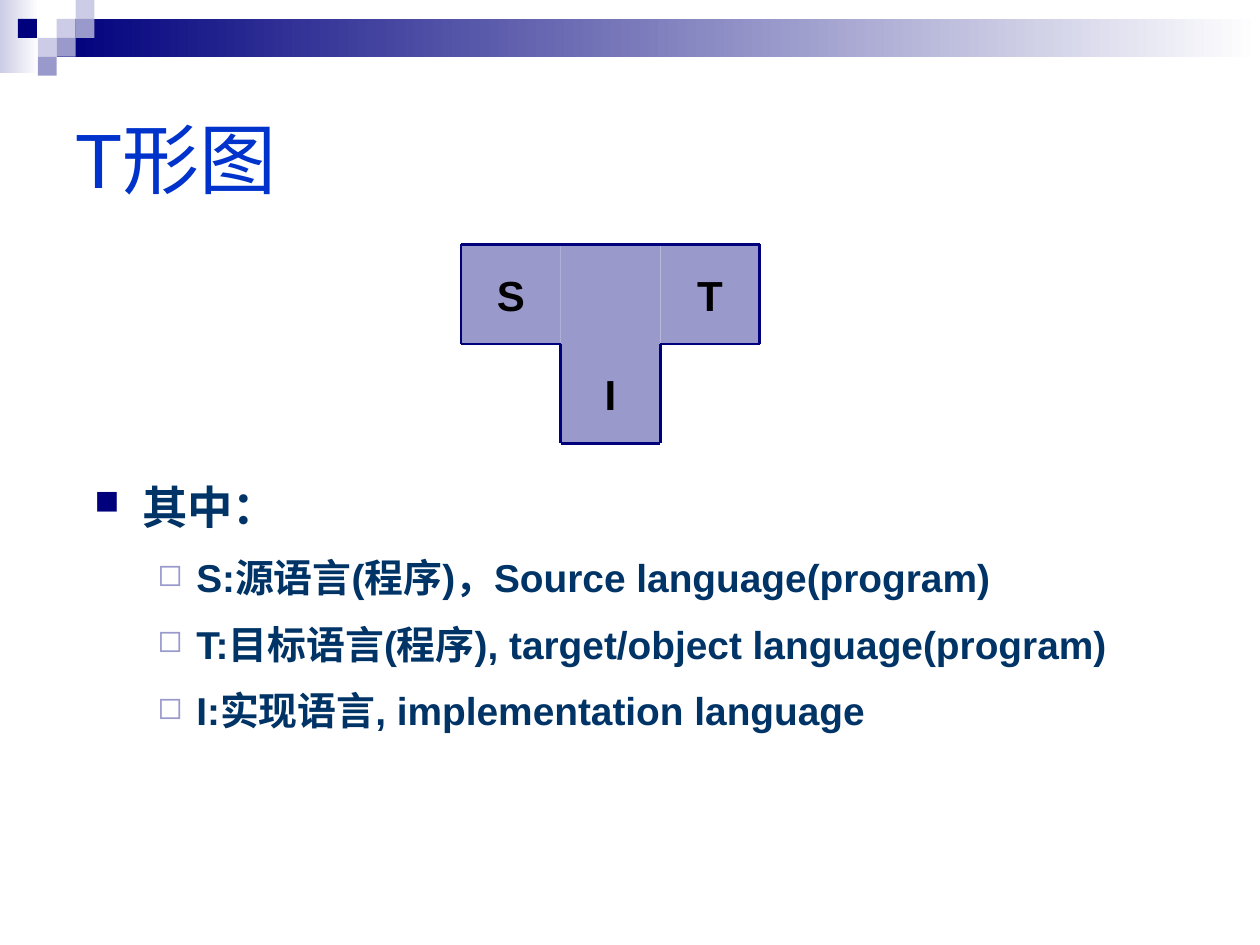
from lxml.etree import SubElement
from pptx import Presentation
from pptx.dml.color import RGBColor
from pptx.enum.shapes import MSO_CONNECTOR, MSO_SHAPE
from pptx.enum.text import MSO_ANCHOR, PP_ALIGN
from pptx.oxml.ns import qn
from pptx.util import Inches, Pt

NAVY, LILAC, PALE, WHITE = "00007D", "9999CC", "CCCCE6", "FFFFFF"
TITLE_BLUE, TEXT_BLUE, BLACK = "0033CC", "003366", "000000"


def color(hex_string):
    return RGBColor.from_string(hex_string)


def write(paragraph, text, size=24, fill=BLACK, bold=False, align=PP_ALIGN.LEFT):
    paragraph.alignment = align
    run = paragraph.add_run()
    run.text = text
    run.font.name = "Arial"
    run.font.size = Pt(size)
    run.font.bold = bold
    run.font.color.rgb = color(fill)


def add_rectangle(slide, left, top, width, height, fill, fade_to=None):
    shape = slide.shapes.add_shape(
        MSO_SHAPE.RECTANGLE, Inches(left), Inches(top), Inches(width), Inches(height))
    shape.shadow.inherit = False
    shape.line.fill.background()
    if fade_to:
        shape.fill.gradient()
        shape.fill.gradient_angle = 0
        for stop, stop_color in zip(shape.fill.gradient_stops, (fill, fade_to)):
            stop.color.rgb = color(stop_color)
    else:
        shape.fill.solid()
        shape.fill.fore_color.rgb = color(fill)
    return shape


def add_line(slide, start, end):
    line = slide.shapes.add_connector(
        MSO_CONNECTOR.STRAIGHT, *(Inches(value) for value in (*start, *end)))
    line.line.color.rgb = color(NAVY)
    line.line.width = Pt(1.5)
    SubElement(line._element.spPr, qn("a:effectLst"))


def add_header(slide, left, top, width):
    unit = 0.15
    # Fading bands
    add_rectangle(slide, left, top, 0.31, 0.58, PALE, WHITE)
    add_rectangle(slide, left + 3 * unit, top + unit, width - 3 * unit, 2 * unit, NAVY, WHITE)
    # Mosaic squares by column and row
    squares = [(3, 1, PALE), (4, 0, PALE), (4, 1, LILAC), (2, 2, PALE),
               (0.95, 1, NAVY), (3, 2, LILAC), (2, 3, LILAC)]
    for column, row, fill in squares:
        add_rectangle(slide, left + column * unit, top + row * unit, unit, unit, fill)


def add_title(slide, left, top, width, height):
    title = slide.shapes.title
    title.left, title.top = Inches(left), Inches(top)
    title.width, title.height = Inches(width), Inches(height)
    title.text_frame.vertical_anchor = MSO_ANCHOR.MIDDLE
    write(title.text_frame.paragraphs[0], "T形图", size=44, fill=TITLE_BLUE)


def add_t_diagram(slide, left, top, cell):
    def corner(column, row):
        return left + column * cell, top + row * cell

    # Cells
    for column, row, label in [(0, 0, "S"), (1, 0, ""), (2, 0, "T"), (1, 1, "I")]:
        shape = add_rectangle(slide, *corner(column, row), cell, cell, LILAC)
        if label:
            frame = shape.text_frame
            frame.word_wrap = False
            frame.vertical_anchor = MSO_ANCHOR.MIDDLE
            write(frame.paragraphs[0], label, bold=True, align=PP_ALIGN.CENTER)

    # Outline, one line for each outer cell side
    outline = [(0, 0), (1, 0), (2, 0), (3, 0), (3, 1), (2, 1),
               (2, 2), (1, 2), (1, 1), (0, 1), (0, 0)]
    for start, end in zip(outline, outline[1:]):
        add_line(slide, corner(*start), corner(*end))


def add_bullet(paragraph, character, fill, percent, margin, hanging):
    properties = paragraph._p.get_or_add_pPr()
    properties.set("marL", str(Inches(margin)))
    properties.set("indent", str(-Inches(hanging)))
    bullet_color = SubElement(properties, qn("a:buClr"))
    SubElement(bullet_color, qn("a:srgbClr"), val=fill)
    SubElement(properties, qn("a:buSzPct"), val=str(percent * 1000))
    SubElement(properties, qn("a:buChar"), char=character)


def add_legend(slide, left, top, width, height):
    box = slide.shapes.add_textbox(Inches(left), Inches(top), Inches(width), Inches(height))
    frame = box.text_frame
    frame.word_wrap = True
    # Heading
    heading = frame.paragraphs[0]
    heading.line_spacing = 1.2
    add_bullet(heading, "■", NAVY, 75, 0.38, 0.38)
    write(heading, "其中：", size=25.9, fill=TEXT_BLUE, bold=True)
    # Meaning of each letter
    for text in ("S:源语言(程序)，Source language(program)",
                 "T:目标语言(程序), target/object language(program)",
                 "I:实现语言, implementation language"):
        paragraph = frame.add_paragraph()
        paragraph.level = 1
        paragraph.line_spacing = 1.2
        paragraph.space_before = Pt(6)
        add_bullet(paragraph, "◻", LILAC, 80, 0.81, 0.31)
        write(paragraph, text, size=22.2, fill=TEXT_BLUE, bold=True)


def main():
    presentation = Presentation()
    presentation.slide_width, presentation.slide_height = Inches(10), Inches(7.5)
    slide = presentation.slides.add_slide(presentation.slide_layouts[5])
    add_header(slide, 0, 0, 10)
    add_title(slide, 0.5, 0.5, 9, 1.5)
    add_legend(slide, 0.65, 3.67, 9, 2.67)
    add_t_diagram(slide, 3.66, 1.94, 0.79)
    presentation.save("out.pptx")


if __name__ == "__main__":
    main()
